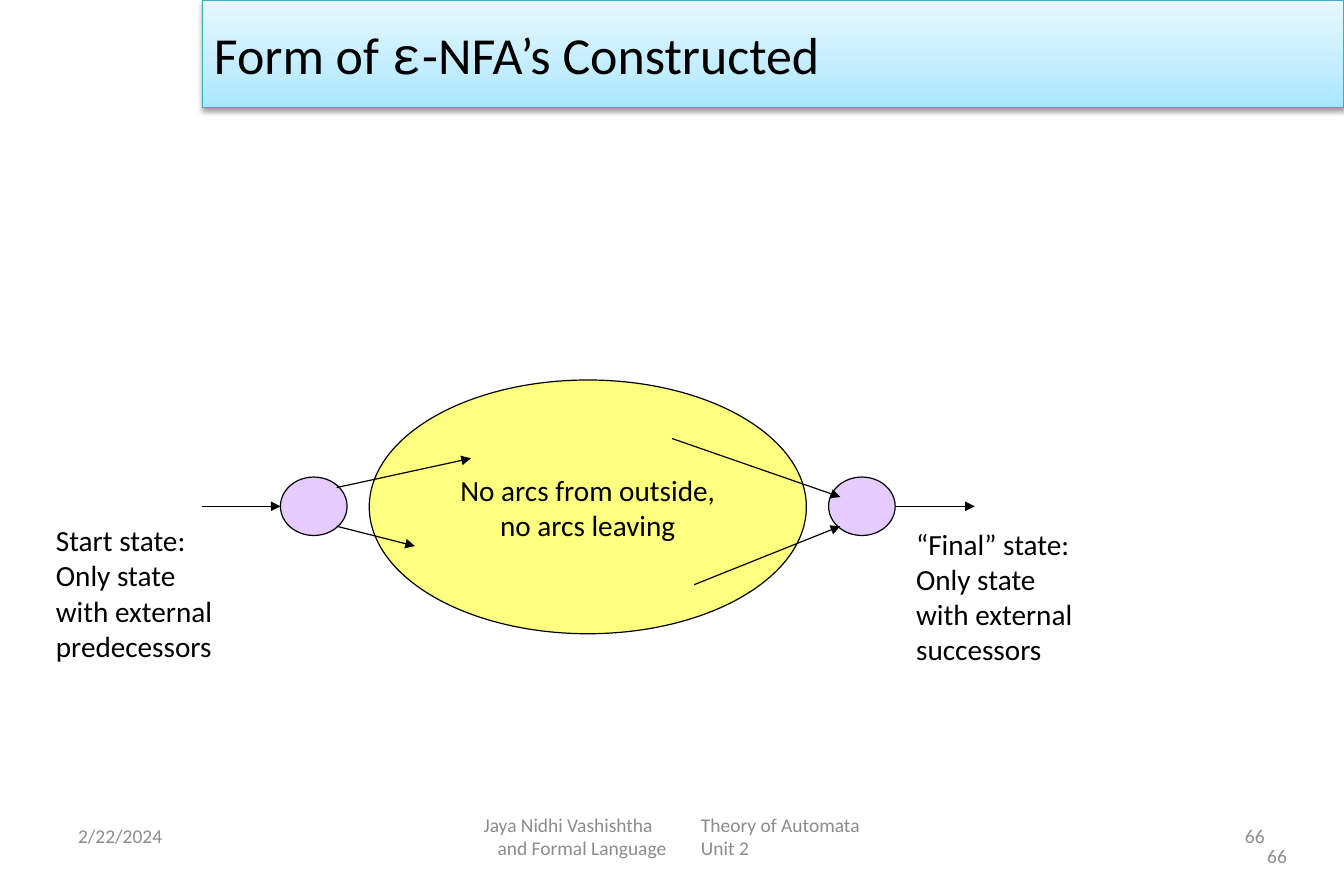
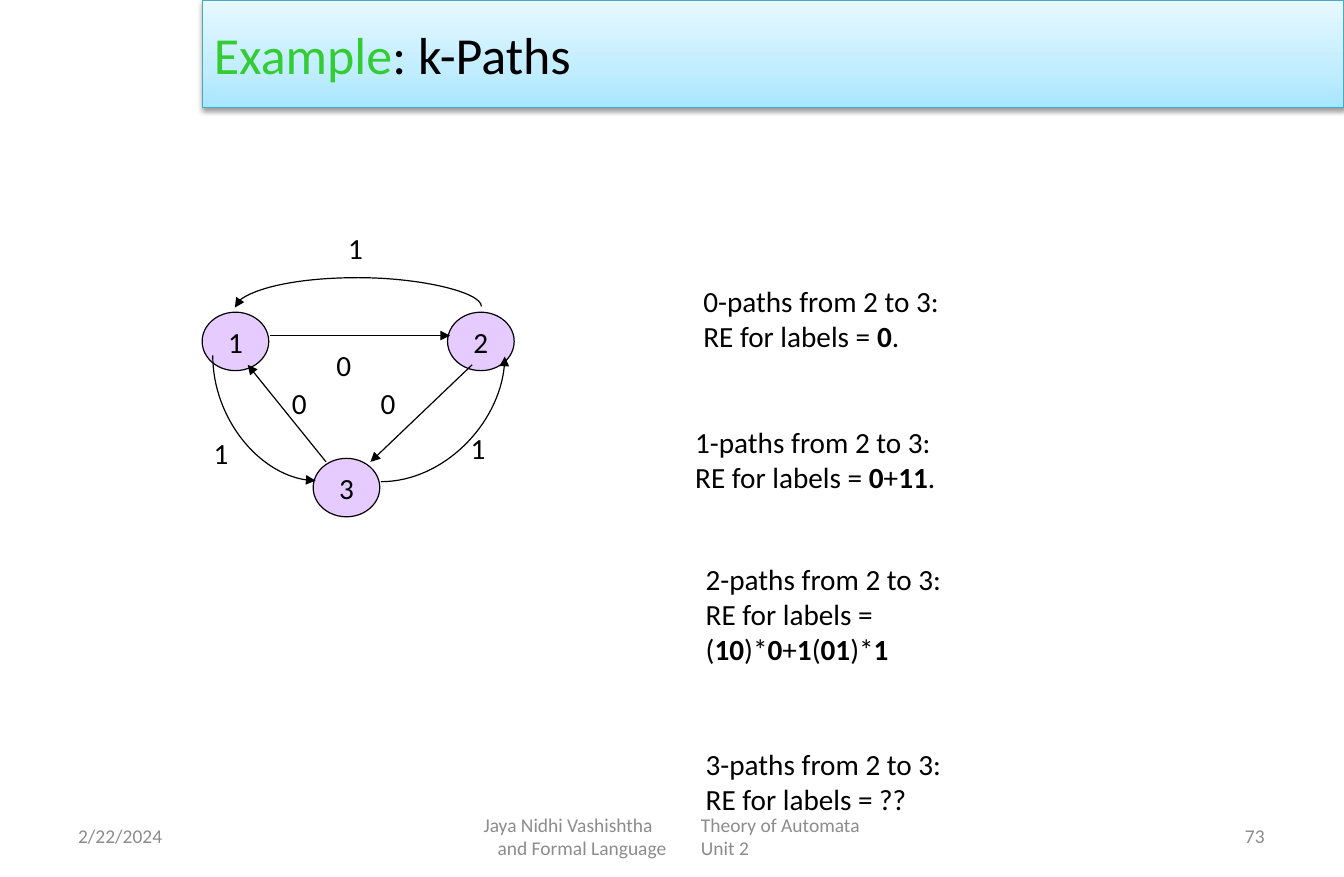
from dataclasses import dataclass

from lxml import etree
from pptx import Presentation
from pptx.dml.color import RGBColor
from pptx.enum.shapes import MSO_CONNECTOR, MSO_SHAPE
from pptx.enum.text import MSO_ANCHOR, MSO_AUTO_SIZE, PP_ALIGN
from pptx.oxml import parse_xml
from pptx.oxml.ns import nsdecls, qn
from pptx.util import Emu, Pt


@dataclass(frozen=True)
class Theme:
    font: str = "Calibri"
    mono: str = "Courier New"
    ink: str = "000000"
    muted: str = "8C8C8C"
    accent: str = "33CC33"
    state: str = "CC99FF"
    core: str = "FFFF00"
    band_line: str = "46AAC5"
    band_stops: tuple = ((0, "A7E6FF"), (35, "C1EDFF"), (100, "E7F8FF"))
    title_size: int = 32
    text_size: int = 18
    footer_size: int = 12
    line_width: float = 0.75


THEME = Theme()
PX = 9144
SLIDE_SIZE = (1150, 750)
BAND = (173, 0, 977, 92)
STATE_SIZE = (57, 50)
LABEL_SIZE = (33, 40)
BOLD = {"bold": True}

DATE = "2/22/2024"
DATE_BOX = (57, 695, 268, 40)
COURSE = [["\tJaya Nidhi Vashishtha\tTheory of Automata"],
          ["\tand Formal Language\tUnit 2"]]
COURSE_TABS = [(11, 197), (23, 197)]
COURSE_BOX = (393, 695, 364, 40)
NUMBER_BOX = (824, 695, 268, 40)
SECOND_NUMBER_BOX = (843, 712, 268, 40)

NFA_TITLE = ["Form of ", ("ε", {"font": THEME.mono}), "-NFA’s Constructed"]
NFA_NUMBER = "66"
NFA_CORE = ((316, 325, 374, 217), [["No arcs from outside,"], ["no arcs leaving"]])
NFA_STATES = [(240, 408), (709, 408)]
NFA_ARCS = [
    ((173, 433), (240, 433)),
    ((767, 433), (834, 433)),
    ((288, 450), (355, 467)),
    ((288, 417), (403, 392)),
    ((575, 375), (719, 425)),
    ((594, 500), (719, 450)),
]
NFA_NOTES = [
    ((38, 442, 155, 131),
     [["Start state:"], ["Only state"], ["with external"], ["predecessors"]]),
    ((774, 445, 155, 131),
     [["“Final” state:"], ["Only state"], ["with external"], ["successors"]]),
]

PATHS_TITLE = [("Example", {"color": THEME.accent}), ": k-Paths"]
PATHS_NUMBER = "73"
PATHS_STATES = {"1": (173, 267), "3": (268, 392), "2": (383, 267)}
PATHS_ARCS = [
    ((231, 287), (385, 287)),
    ((404, 312), (317, 395)),
    ((279, 395), (212, 312)),
]
PATHS_CURVES = [
    ((412, 262), (201, 263), "curvedConnector3", True, -2500000),
    ((182, 304), (270, 411), "curvedConnector2", True, None),
    ((326, 412), (432, 305), "curvedConnector2", False, None),
]
PATHS_LABELS = [
    ("0", (278, 292)), ("0", (316, 325)), ("0", (240, 325)),
    ("1", (288, 192)), ("1", (173, 367)), ("1", (393, 363)),
]
PATHS_NOTES = [
    ((592, 237, 224, 71),
     [["0-paths from 2 to 3:"], ["RE for labels = ", ("0", BOLD), "."]]),
    ((585, 358, 228, 71),
     [["1-paths from 2 to 3:"],
      ["RE for labels = ", ("0", BOLD), "+", ("11", BOLD), "."]]),
    ((594, 475, 224, 101),
     [["2-paths from 2 to 3:"], ["RE for labels ="],
      ["(", ("10", BOLD), ")*", ("0", BOLD), "+", ("1", BOLD),
       "(", ("01", BOLD), ")*", ("1", BOLD)]]),
    ((594, 633, 224, 71),
     [["3-paths from 2 to 3:"], ["RE for labels = ??"]]),
]


def emu(lengths):
    return [Emu(round(length * PX)) for length in lengths]


def rgb(color):
    return RGBColor.from_string(color)


def write(frame, paragraphs, size=THEME.text_size, color=THEME.ink, font=THEME.font,
          align=PP_ALIGN.LEFT, anchor=MSO_ANCHOR.TOP, wrap=False,
          fit=MSO_AUTO_SIZE.NONE, tabs=()):
    frame.word_wrap = wrap
    frame.auto_size = fit
    frame.vertical_anchor = anchor
    for index, pieces in enumerate(paragraphs):
        paragraph = frame.add_paragraph() if index else frame.paragraphs[0]
        paragraph.alignment = align
        if tabs:
            stops = etree.SubElement(paragraph._p.get_or_add_pPr(), qn("a:tabLst"))
            for position in emu(tabs[index]):
                etree.SubElement(stops, qn("a:tab"), pos=str(position), algn="l")
        for piece in pieces:
            words, special = (piece, {}) if isinstance(piece, str) else piece
            run = paragraph.add_run()
            run.text = words
            run.font.size = Pt(size)
            run.font.name = special.get("font", font)
            run.font.bold = special.get("bold", False)
            run.font.color.rgb = rgb(special.get("color", color))


def add_note(shapes, box, paragraphs, **style):
    write(shapes.add_textbox(*emu(box)).text_frame, paragraphs, **style)


def outline(part, color=THEME.ink):
    part.line.color.rgb = rgb(color)
    part.line.width = Pt(THEME.line_width)


def add_oval(shapes, box, color, paragraphs=()):
    oval = shapes.add_shape(MSO_SHAPE.OVAL, *emu(box))
    oval.shadow.inherit = False
    oval.fill.solid()
    oval.fill.fore_color.rgb = rgb(color)
    tint = oval._element.spPr.find(qn("a:solidFill")).find(qn("a:srgbClr"))
    etree.SubElement(tint, qn("a:alpha"), val="50000")
    outline(oval)
    write(oval.text_frame, paragraphs, align=PP_ALIGN.CENTER, anchor=MSO_ANCHOR.MIDDLE)


def quarter_turn(start, end):
    center_x, center_y = (start[0] + end[0]) / 2, (start[1] + end[1]) / 2
    return [(center_x - (y - center_y), center_y + (x - center_x)) for x, y in (start, end)]


def add_arc(shapes, start, end, curve=None, turned=False, bend=None):
    if turned:
        start, end = quarter_turn(start, end)
    kind = MSO_CONNECTOR.CURVE if curve else MSO_CONNECTOR.STRAIGHT
    arc = shapes.add_connector(kind, *emu((*start, *end)))
    outline(arc)
    properties = arc._element.spPr
    etree.SubElement(properties.find(qn("a:ln")), qn("a:tailEnd"), type="triangle")
    etree.SubElement(properties, qn("a:effectLst"))
    if turned:
        properties.find(qn("a:xfrm")).set("rot", str(270 * 60000))
    if curve:
        geometry = properties.find(qn("a:prstGeom"))
        geometry.set("prst", curve)
        if bend is not None:
            etree.SubElement(geometry.find(qn("a:avLst")), qn("a:gd"),
                             name="adj1", fmla=f"val {bend}")


def format_band(title, pieces):
    title.left, title.top, title.width, title.height = emu(BAND)
    outline(title, THEME.band_line)
    stops = "".join(f'<a:gs pos="{at * 1000}"><a:srgbClr val="{color}"/></a:gs>'
                    for at, color in THEME.band_stops)
    properties = title._element.spPr
    properties.find(qn("a:ln")).addprevious(parse_xml(
        f'<a:gradFill {nsdecls("a")} rotWithShape="1"><a:gsLst>{stops}</a:gsLst>'
        '<a:lin ang="16200000" scaled="1"/></a:gradFill>'))
    properties.append(parse_xml(
        f'<a:effectLst {nsdecls("a")}><a:outerShdw blurRad="{Pt(3.1)}" dist="{Pt(1.6)}" '
        'dir="5400000" rotWithShape="0"><a:srgbClr val="000000">'
        '<a:alpha val="38000"/></a:srgbClr></a:outerShdw></a:effectLst>'))
    write(title.text_frame, [pieces], size=THEME.title_size,
          anchor=MSO_ANCHOR.MIDDLE, wrap=True)


def add_footer(shapes, box, paragraphs, **style):
    add_note(shapes, box, paragraphs, size=THEME.footer_size, color=THEME.muted,
             anchor=MSO_ANCHOR.MIDDLE, wrap=True, **style)


def add_page(deck, title, number):
    slide = deck.slides.add_slide(deck.slide_layouts[5])
    format_band(slide.shapes.title, title)
    add_footer(slide.shapes, DATE_BOX, [[DATE]])
    add_footer(slide.shapes, COURSE_BOX, COURSE, tabs=COURSE_TABS)
    add_footer(slide.shapes, NUMBER_BOX, [[number]], align=PP_ALIGN.RIGHT)
    return slide.shapes


def add_notes(shapes, notes):
    for box, paragraphs in notes:
        add_note(shapes, box, paragraphs, fit=MSO_AUTO_SIZE.SHAPE_TO_FIT_TEXT)


def build_nfa(deck):
    shapes = add_page(deck, NFA_TITLE, NFA_NUMBER)
    for corner in NFA_STATES:
        add_oval(shapes, corner + STATE_SIZE, THEME.state)
    core_box, core_text = NFA_CORE
    add_oval(shapes, core_box, THEME.core, core_text)
    for arc in NFA_ARCS:
        add_arc(shapes, *arc)
    add_notes(shapes, NFA_NOTES)
    add_footer(shapes, SECOND_NUMBER_BOX, [[NFA_NUMBER]], align=PP_ALIGN.RIGHT)


def build_paths(deck):
    shapes = add_page(deck, PATHS_TITLE, PATHS_NUMBER)
    automaton = shapes.add_group_shape().shapes
    for state, corner in PATHS_STATES.items():
        add_oval(automaton, corner + STATE_SIZE, THEME.state, [[state]])
    for arc in PATHS_ARCS + PATHS_CURVES:
        add_arc(automaton, *arc)
    add_notes(automaton, [(corner + LABEL_SIZE, [[label]]) for label, corner in PATHS_LABELS])
    add_notes(shapes, PATHS_NOTES)


def main():
    deck = Presentation()
    deck.slide_width, deck.slide_height = emu(SLIDE_SIZE)
    build_nfa(deck)
    build_paths(deck)
    deck.save("out.pptx")


if __name__ == "__main__":
    main()
